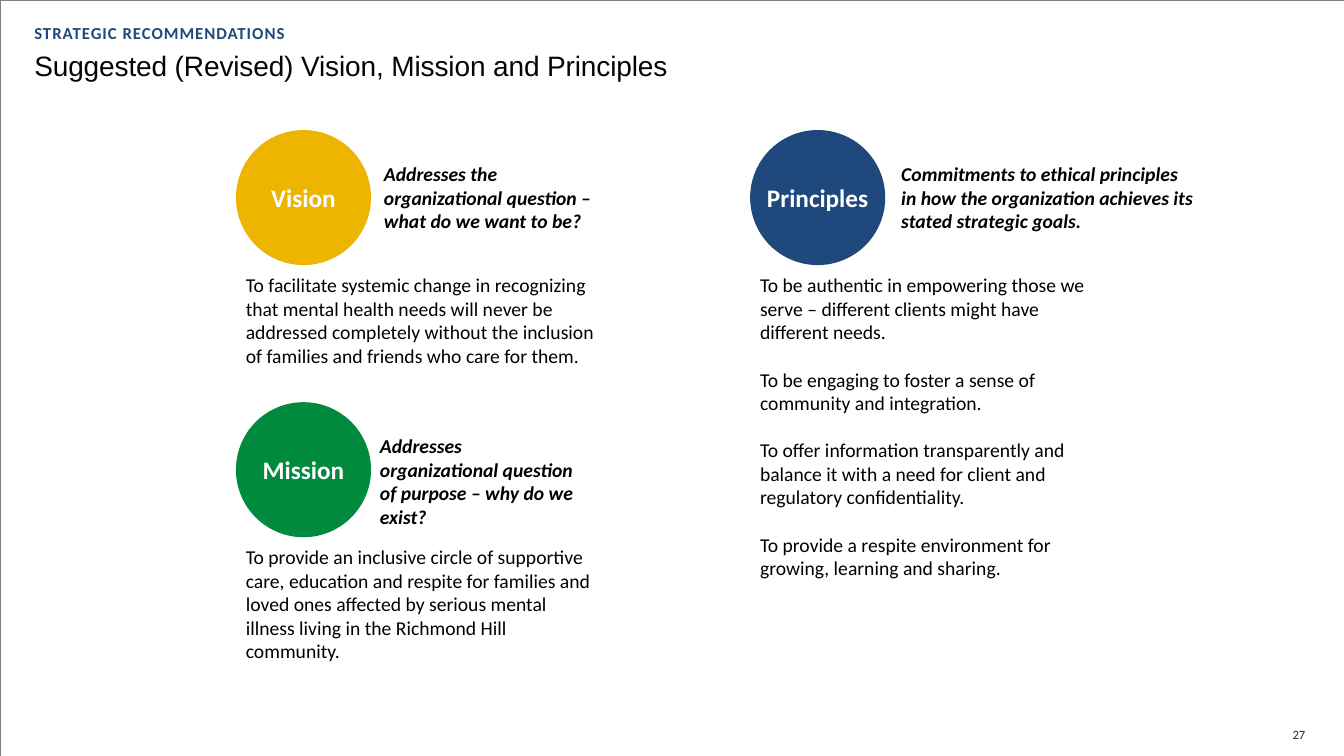
import pptx
import pptx.util
import pptx.dml.color
import pptx.enum.shapes
import pptx.enum.text
import pptx.oxml.ns

COLORS = {"gold": "EEB500", "green": "008A3E", "navy": "1F497D", "white": "FFFFFF",
          "black": "000000", "title": "050505", "number": "0A2E47", "frame": "808080"}

SECTIONS = [
    {"name": "Vision", "col": 0, "row": 0, "color": "gold",
     "question": "Addresses the organizational question – what do we want to be?",
     "question_dx": 1.37, "question_w": 2.29, "question_lines": 3,
     "body": ["To facilitate systemic change in recognizing that mental health needs will never be "
              "addressed completely without the inclusion of families and friends who care for them."],
     "body_lines": 4},
    {"name": "Mission", "col": 0, "row": 1, "color": "green",
     "question": "Addresses organizational question of purpose – why do we exist?",
     "question_dx": 1.33, "question_w": 2.19, "question_lines": 4,
     "body": ["To provide an inclusive circle of supportive care, education and respite for families "
              "and loved ones affected by serious mental illness living in the Richmond Hill community."],
     "body_lines": 5},
    {"name": "Principles", "col": 1, "row": 0, "color": "navy",
     "question": "Commitments to ethical principles in how the organization achieves its "
                 "stated strategic goals.",
     "question_dx": 1.4, "question_w": 3.11, "question_lines": 3,
     "body": ["To be authentic in empowering those we serve – different clients might have different needs.",
              "To be engaging to foster a sense of community and integration.",
              "To offer information transparently and balance it with a need for client and "
              "regulatory confidentiality.",
              "To provide a respite environment for growing, learning and sharing."],
     "body_lines": 13},
]

SLIDE_W, SLIDE_H = 13.33, 7.5
LEFT, TOP = 2.34, 1.29
COL_PITCH, ROW_PITCH = 5.1, 2.7
CIRCLE = 1.34
BODY_W = 3.67
LINE_H, PAD = 0.235, 0.1
PARAGRAPH_GAP = 17

inch = pptx.util.Inches
pt = pptx.util.Pt
SHAPE = pptx.enum.shapes.MSO_SHAPE
ALIGN = pptx.enum.text.PP_ALIGN
ANCHOR = pptx.enum.text.MSO_ANCHOR
AUTO = pptx.enum.text.MSO_AUTO_SIZE


def rgb(name):
    return pptx.dml.color.RGBColor.from_string(COLORS[name])


def add_run(p, text, size, color, font="Calibri", bold=False, italic=False):
    r = p.add_run()
    r.text = text
    r.font.name, r.font.size = font, pt(size)
    r.font.bold, r.font.italic = bold, italic
    r.font.color.rgb = rgb(color)


def set_insets(tf, left=0, top=0, right=0, bottom=0):
    tf.margin_left, tf.margin_top = inch(left), inch(top)
    tf.margin_right, tf.margin_bottom = inch(right), inch(bottom)


def add_text(box, paragraphs, size, color, gap=0, **style):
    s = slide.shapes.add_textbox(*map(inch, box))
    tf = s.text_frame
    tf.word_wrap = True
    tf.auto_size = AUTO.SHAPE_TO_FIT_TEXT
    for i, text in enumerate(paragraphs):
        p = tf.paragraphs[0] if i == 0 else tf.add_paragraph()
        if i < len(paragraphs) - 1:
            p.space_after = pt(gap)
        add_run(p, text, size, color, **style)
    return s


def add_heading(box, text, size, color, spacing, **style):
    s = add_text(box, [text], size, color, **style)
    set_insets(s.text_frame, top=0.01)
    s.text_frame.paragraphs[0].space_before = pt(1)
    for props in s.element.iter(pptx.oxml.ns.qn("a:rPr")):
        props.set("spc", str(spacing))


def add_section(section):
    x = LEFT + section["col"] * COL_PITCH
    y = TOP + section["row"] * ROW_PITCH
    s = slide.shapes.add_shape(SHAPE.OVAL, inch(x), inch(y), inch(CIRCLE), inch(CIRCLE))
    s.shadow.inherit = False
    s.fill.solid()
    s.fill.fore_color.rgb = rgb(section["color"])
    s.line.fill.background()
    tf = s.text_frame
    set_insets(tf)
    tf.word_wrap = False
    tf.vertical_anchor = ANCHOR.MIDDLE
    p = tf.paragraphs[0]
    p.alignment = ALIGN.CENTER
    add_run(p, section["name"], 18, "white", bold=True)
    add_text((x + section["question_dx"], y + 0.27, section["question_w"],
              PAD + section["question_lines"] * LINE_H),
             [section["question"]], 14, "black", bold=True, italic=True)
    add_text((x, y + CIRCLE + 0.03, BODY_W, PAD + section["body_lines"] * LINE_H),
             section["body"], 14, "black", gap=PARAGRAPH_GAP)


prs = pptx.Presentation()
prs.slide_width, prs.slide_height = inch(SLIDE_W), inch(SLIDE_H)
slide = prs.slides.add_slide(prs.slide_layouts[6])

frame = slide.shapes.add_shape(SHAPE.RECTANGLE, 0, 0, prs.slide_width, prs.slide_height)
frame.shadow.inherit = False
frame.fill.background()
frame.line.color.rgb = rgb("frame")
frame.line.width = pt(0.48)

add_heading((0.34, 0.22, 3.06, 0.22), "STRATEGIC RECOMMENDATIONS", 12, "navy", 70, bold=True)
add_heading((0.34, 0.47, 8.83, 0.35), "Suggested (Revised) Vision, Mission and Principles",
            20, "title", -10, font="Arial")

for section in SECTIONS:
    add_section(section)

number = add_text((12.73, 7.23, 0.35, 0.14), ["27"], 9, "number")
set_insets(number.text_frame, left=0.09)
number.text_frame.paragraphs[0].line_spacing = pt(9.6)

prs.save("out.pptx")
